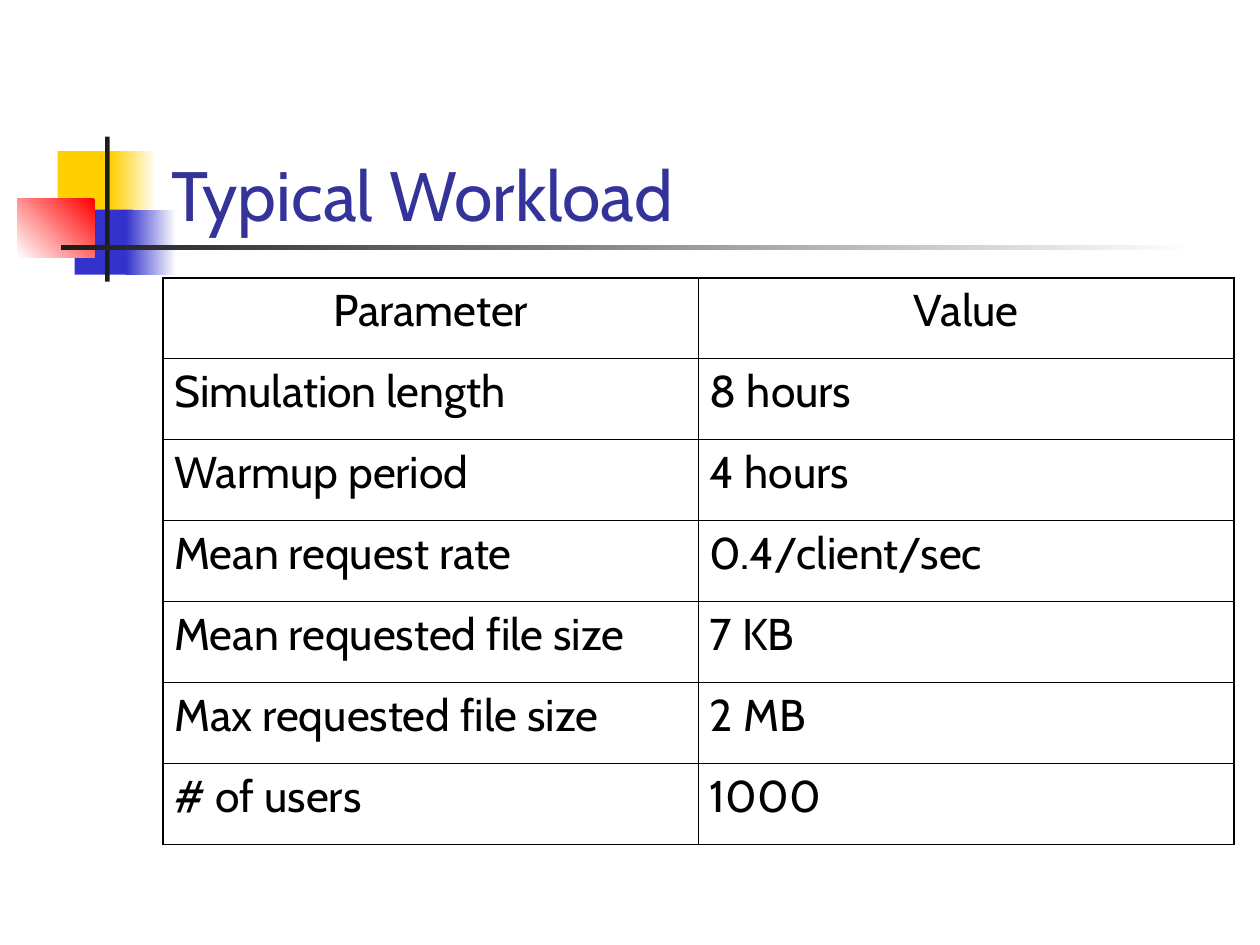
from dataclasses import dataclass

from lxml import etree
from pptx import Presentation
from pptx import util as u
from pptx.dml.color import RGBColor
from pptx.enum import shapes, text
from pptx.oxml.ns import qn

W, H = u.Cm(28), u.Cm(21)


@dataclass(frozen=True)
class Theme:
    """Hold the colours, font, type sizes and line widths of the slide."""
    font: str = "Cabin"
    title_size: int = 44
    cell_size: int = 28
    title: str = "333399"
    ink: str = "000000"
    bar: str = "1C1C1C"
    yellow: str = "FFCF01"
    blue: str = "3333CC"
    red: str = "FF0000"
    white: str = "FFFFFF"
    outer: float = 1.08
    inner: float = 0.45


T = Theme()

MOTIF = [
    ((4.58, 16, 4.81, 6.89), (T.yellow,), 0),
    ((8.8, 16, 3.63, 6.89), (T.white, T.yellow), 180),
    ((5.92, 22.18, 4.63, 6.89), (T.blue,), 0),
    ((10, 22.18, 3.99, 6.89), (T.white, T.blue), 180),
    ((1.36, 21.04, 6.17, 6.17), (T.red, T.white), 225),
    ((8.35, 14.45, 0.36, 15.36), (T.bar,), 0),
    ((4.81, 25.95, 90.02, 0.5), (T.white, T.bar), 180),
]

WORKLOAD = [
    ("Parameter", "Value"),
    ("Simulation length", "8 hours"),
    ("Warmup period", "4 hours"),
    ("Mean request rate", "0.4/client/sec"),
    ("Mean requested file size", "7 KB"),
    ("Max requested file size", "2 MB"),
    ("# of users", "1000"),
]


def box(x, y, w, h):
    """Turn percentages of the slide's size into lengths."""
    return [u.Emu(int(share * side / 100)) for share, side in zip((x, y, w, h), (W, H, W, H))]


def assign(target, values):
    """Set each named attribute of the target."""
    for name, value in values.items():
        setattr(target, name, value)


def write(tf, words, size, color, align):
    """Put one formatted paragraph into a text frame."""
    p = tf.paragraphs[0]
    p.alignment = align
    r = p.add_run()
    r.text = words
    assign(r.font, {"name": T.font, "size": u.Pt(size), "bold": False})
    r.font.color.rgb = RGBColor.from_string(color)


def add_block(s, place, colors, angle):
    """Add a rectangle with a plain or two-stop gradient fill."""
    sp = s.shapes.add_shape(shapes.MSO_SHAPE.RECTANGLE, *box(*place))
    sp.shadow.inherit = False
    sp.line.fill.background()
    if len(colors) == 1:
        sp.fill.solid()
        sp.fill.fore_color.rgb = RGBColor.from_string(colors[0])
        return
    sp.fill.gradient()
    sp.fill.gradient_angle = angle
    for stop, color in zip(sp.fill.gradient_stops, colors):
        stop.color.rgb = RGBColor.from_string(color)


def add_title(s, words):
    """Place and format the title above the decorative blocks."""
    sp = s.shapes.title
    s.shapes._spTree.append(sp._element)
    assign(sp, dict(zip(("left", "top", "width", "height"), box(12.6, 9, 85.3, 16.69))))
    tf = sp.text_frame
    assign(tf, {
        "word_wrap": True, "auto_size": text.MSO_AUTO_SIZE.NONE,
        "vertical_anchor": text.MSO_ANCHOR.BOTTOM,
        "margin_left": u.Inches(0.11), "margin_right": u.Inches(0.11),
        "margin_top": u.Inches(0.06), "margin_bottom": u.Inches(0.06),
    })
    write(tf, words, T.title_size, T.title, text.PP_ALIGN.LEFT)


def set_borders(cell, outer_sides):
    """Draw the four cell borders, heavier on the table's outside."""
    tc_pr = cell._tc.get_or_add_tcPr()
    for side, is_outer in outer_sides.items():
        width = u.Pt(T.outer if is_outer else T.inner)
        ln = etree.SubElement(tc_pr, qn(f"a:ln{side}"), w=str(int(width)))
        fill = etree.SubElement(ln, qn("a:solidFill"))
        etree.SubElement(fill, qn("a:srgbClr"), val=T.ink)


def add_grid(s, rows):
    """Add the table with even rows and columns and a centred header."""
    n_rows, n_cols = len(rows), len(rows[0])
    place = box(12.94, 29.4, 85, 59.98)
    table = s.shapes.add_table(n_rows, n_cols, *place).table
    assign(table, {"first_row": False, "horz_banding": False})
    for i, row in enumerate(rows):
        align = text.PP_ALIGN.LEFT if i else text.PP_ALIGN.CENTER
        for j, words in enumerate(row):
            cell = table.cell(i, j)
            set_borders(cell, {"L": j == 0, "R": j == n_cols - 1,
                               "T": i == 0, "B": i == n_rows - 1})
            cell.fill.background()
            write(cell.text_frame, words, T.cell_size, T.ink, align)


def main():
    """Build the workload slide and save it."""
    prs = Presentation()
    prs.slide_width = W
    prs.slide_height = H
    s = prs.slides.add_slide(prs.slide_layouts[5])
    for place, colors, angle in MOTIF:
        add_block(s, place, colors, angle)
    add_title(s, "Typical Workload")
    add_grid(s, WORKLOAD)
    prs.save("out.pptx")


if __name__ == "__main__":
    main()
